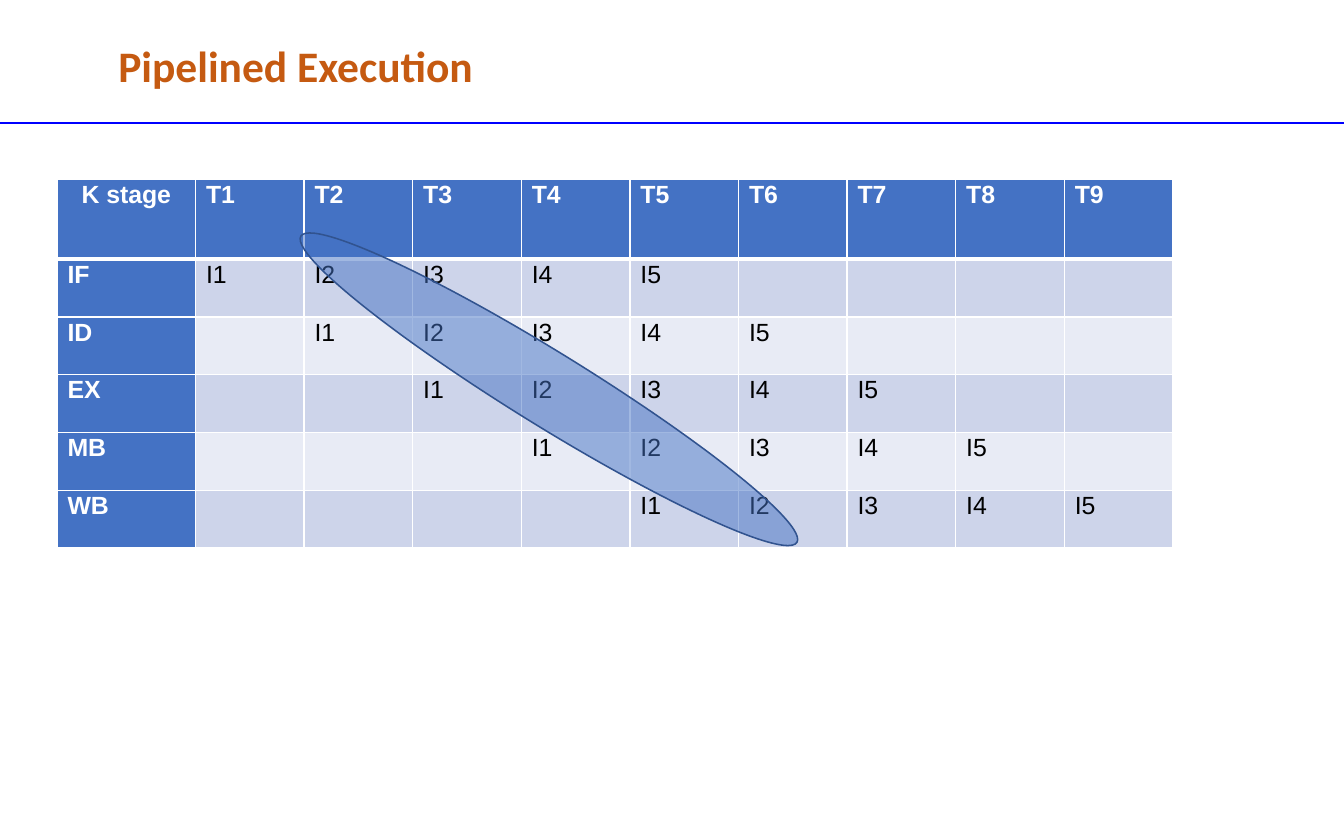
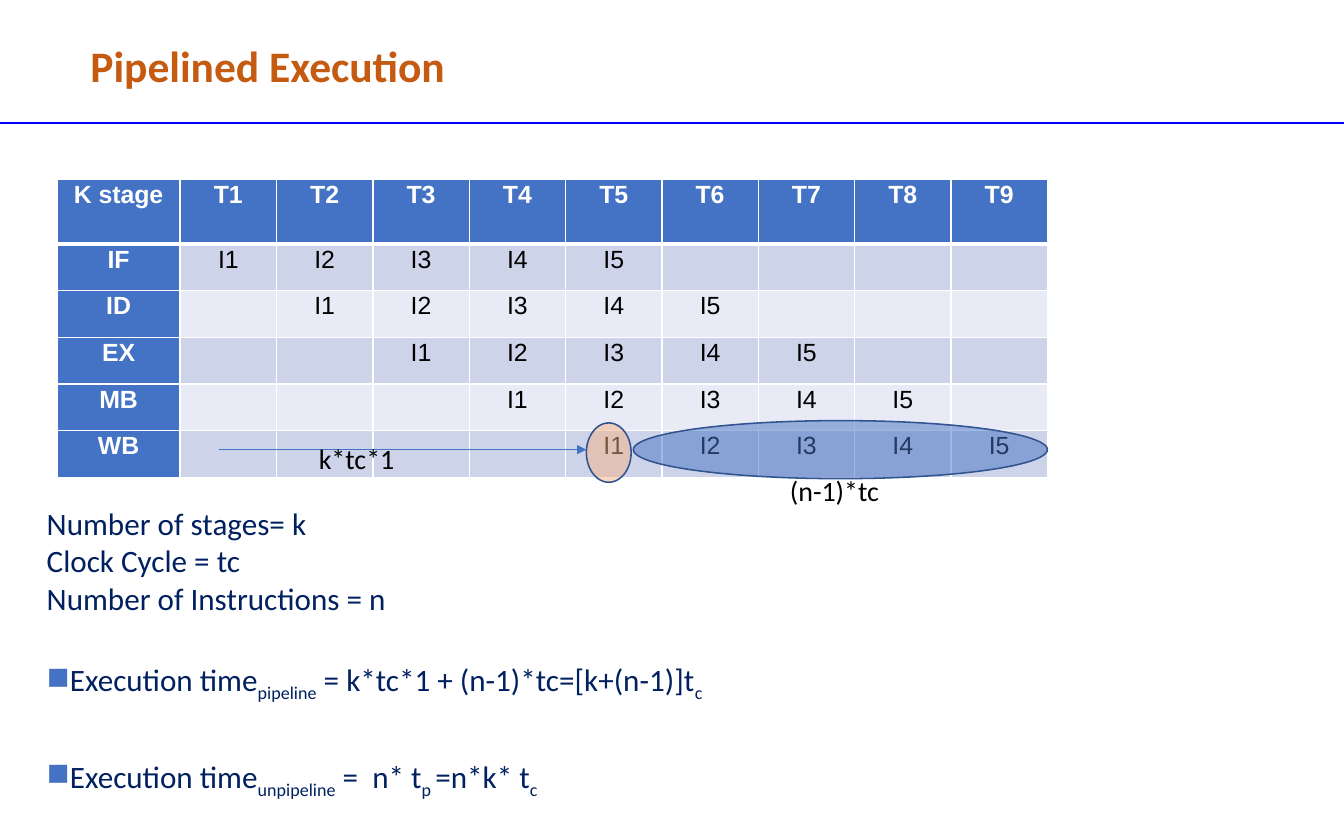
import pptx
import pptx.dml.color
import pptx.enum.shapes
import pptx.enum.text
import pptx.oxml
import pptx.oxml.ns
import pptx.util

Pt = pptx.util.Pt
RGBColor = pptx.dml.color.RGBColor
SHAPE = pptx.enum.shapes.MSO_SHAPE
ALIGN = pptx.enum.text.PP_ALIGN
qn = pptx.oxml.ns.qn

WIDTH, HEIGHT = 864.72, 540
WHITE = RGBColor(0xFF, 0xFF, 0xFF)
BLACK = RGBColor(0, 0, 0)
BLUE = RGBColor(0x44, 0x72, 0xC4)
DARK_BLUE = RGBColor(0x31, 0x53, 0x8F)
RULE_BLUE = RGBColor(0, 0, 0xFF)
NAVY = RGBColor(0, 0x20, 0x60)
ORANGE = RGBColor(0xC5, 0x5A, 0x11)
PEACH = RGBColor(0xF4, 0xB0, 0x81)
BANDS = (RGBColor(0xE8, 0xEB, 0xF5), RGBColor(0xCD, 0xD4, 0xEA))

STAGES = ("IF", "ID", "EX", "MB", "WB")
CYCLES = 9
INSTRUCTIONS = 5
TABLE_LEFT, TABLE_TOP = 36.7, 115.2

FACTS = ("Number of stages= k", "Clock Cycle = tc", "Number of Instructions = n")
# Each formula: space before, then runs of (text, is subscript).
FORMULAS = (
    (28.4, (("Execution time", False), ("pipeline", True),
            (" = k*tc*1 + (n-1)*tc=[k+(n-1)]t", False), ("c", True))),
    (35, (("Execution time", False), ("unpipeline", True), (" =  n* t", False),
          ("p ", True), ("=n*k* t", False), ("c", True))),
)


def sub_element(parent, tag, **attributes):
    child = parent.makeelement(qn(tag), attributes)
    parent.append(child)
    return child


def add_run(p, text, size, color, font="Calibri", bold=False, subscript=False):
    r = p.add_run()
    r.text = text
    r.font.name, r.font.size, r.font.bold = font, Pt(size), bold
    r.font.color.rgb = color
    if subscript:
        r.font._element.set("baseline", "-25000")


def add_text_box(s, x, y, w, h):
    tf = s.shapes.add_textbox(Pt(x), Pt(y), Pt(w), Pt(h)).text_frame
    tf.word_wrap = True
    tf.auto_size = pptx.enum.text.MSO_AUTO_SIZE.SHAPE_TO_FIT_TEXT
    return tf


def add_label(s, x, y, w, h, text, size=18, color=BLACK, bold=False):
    tf = add_text_box(s, x, y, w, h)
    add_run(tf.paragraphs[0], text, size, color, bold=bold)


def add_line(s, x1, y1, x2, y2, color, arrow=False):
    line = s.shapes.add_connector(pptx.enum.shapes.MSO_CONNECTOR.STRAIGHT,
                                  Pt(x1), Pt(y1), Pt(x2), Pt(y2))
    line.line.color.rgb = color
    line.line.width = Pt(0.75)
    if arrow:
        sub_element(line.line._get_or_add_ln(), "a:tailEnd", type="triangle")
    sub_element(line._element.spPr, "a:effectLst")


def add_highlight(s, x, y, w, h, color, opacity, rotation=0):
    """Draw a see-through ellipse over table cells."""
    sp = s.shapes.add_shape(SHAPE.OVAL, Pt(x), Pt(y), Pt(w), Pt(h))
    sp.shadow.inherit = False
    sp.rotation = rotation
    sp.fill.solid()
    sp.fill.fore_color.rgb = color
    clr = sp._element.spPr.find(qn("a:solidFill")).find(qn("a:srgbClr"))
    sub_element(clr, "a:alpha", val=str(opacity * 1000))
    sp.line.color.rgb = DARK_BLUE
    sp.line.width = Pt(1)


def add_slide(prs, title_left):
    s = prs.slides.add_slide(prs.slide_layouts[6])
    add_line(s, 0, 79.2, WIDTH, 79.2, RULE_BLUE)
    add_label(s, title_left, 21.6, 294.5, 41, "Pipelined Execution", 28, ORANGE, bold=True)
    return s


def set_borders(cell, top, bottom):
    tc_pr = cell._tc.get_or_add_tcPr()
    for side, width in (("L", 1), ("R", 1), ("T", top), ("B", bottom)):
        ln = sub_element(tc_pr, f"a:ln{side}", w=str(Pt(width)))
        sub_element(sub_element(ln, "a:solidFill"), "a:srgbClr", val=str(WHITE))


def cell_text(row, col):
    if row == 0:
        return f"T{col}" if col else "K stage"
    if col == 0:
        return STAGES[row - 1]
    number = col - row + 1
    return f"I{number}" if 1 <= number <= INSTRUCTIONS else ""


def add_pipeline_table(s, x, y, stage_w, cycle_w, head_h, row_h, centred):
    rows, cols = len(STAGES) + 1, CYCLES + 1
    table = s.shapes.add_table(rows, cols, Pt(x), Pt(y), Pt(stage_w + CYCLES * cycle_w),
                               Pt(head_h + len(STAGES) * row_h)).table
    for col in range(cols):
        table.columns[col].width = Pt(cycle_w if col else stage_w)
    for row in range(rows):
        table.rows[row].height = Pt(row_h if row else head_h)
        for col in range(cols):
            cell = table.cell(row, col)
            heading = row == 0 or col == 0
            set_borders(cell, 3 if row == 1 else 1, 3 if row == 0 else 1)
            cell.fill.solid()
            cell.fill.fore_color.rgb = BLUE if heading else BANDS[row % 2]
            cell.margin_left = cell.margin_right = Pt(6.75)
            cell.margin_top = cell.margin_bottom = 0
            p = cell.text_frame.paragraphs[0]
            p.line_spacing = 1.07
            p.alignment = ALIGN.CENTER if centred or row == col == 0 else ALIGN.LEFT
            text = cell_text(row, col)
            if text:
                add_run(p, text, 16, WHITE if heading else BLACK, "Arial", heading)


def add_formulas(s, x, y, w, h):
    tf = add_text_box(s, x, y, w, h)
    for i, fact in enumerate(FACTS):
        p = tf.add_paragraph() if i else tf.paragraphs[0]
        add_run(p, fact, 20, NAVY)
    for space, runs in FORMULAS:
        p = tf.add_paragraph()
        p_pr = p._p.get_or_add_pPr()
        p_pr.set("marL", "0")
        p_pr.set("indent", str(-Pt(7.2)))
        sub_element(sub_element(p_pr, "a:buClr"), "a:srgbClr", val=str(BLUE))
        sub_element(p_pr, "a:buChar", char="■")
        p.space_before = Pt(space)
        for text, subscript in runs:
            add_run(p, text, 20, NAVY, subscript=subscript)


def add_timing_marks(s, x, y):
    """Mark the first result and the later ones in the last row of the table at x, y."""
    add_highlight(s, x + 370.8, y + 155.5, 266.4, 37.4, BLUE, 50)
    add_highlight(s, x + 340.6, y + 157, 28.8, 38.2, PEACH, 49)
    add_line(s, x + 104.4, y + 174.2, x + 340.6, y + 174.2, BLUE, arrow=True)
    add_label(s, x + 161.3, y + 165.6, 102.2, 29, "k*tc*1")
    add_label(s, x + 464.4, y + 185.8, 102.2, 29, "(n-1)*tc")


def build_diagonal_slide(prs):
    s = add_slide(prs, 69.1)
    add_pipeline_table(s, TABLE_LEFT, TABLE_TOP, 89.1, 69.9, 51.6, 37.2, centred=False)
    add_highlight(s, TABLE_LEFT + 128.9, TABLE_TOP + 111.6, 375.1, 47.5, BLUE, 50, 31.7)


def build_timing_slide(prs):
    s = add_slide(prs, 51.1)
    add_pipeline_table(s, TABLE_LEFT, TABLE_TOP, 79.2, 62, 41.7, 30.1, centred=True)
    add_formulas(s, 23, 321.1, 732.2, 213.1)
    add_timing_marks(s, TABLE_LEFT, TABLE_TOP)


def main():
    prs = pptx.Presentation()
    prs.slide_width, prs.slide_height = Pt(WIDTH), Pt(HEIGHT)
    build_diagonal_slide(prs)
    build_timing_slide(prs)
    prs.save("out.pptx")


if __name__ == "__main__":
    main()
